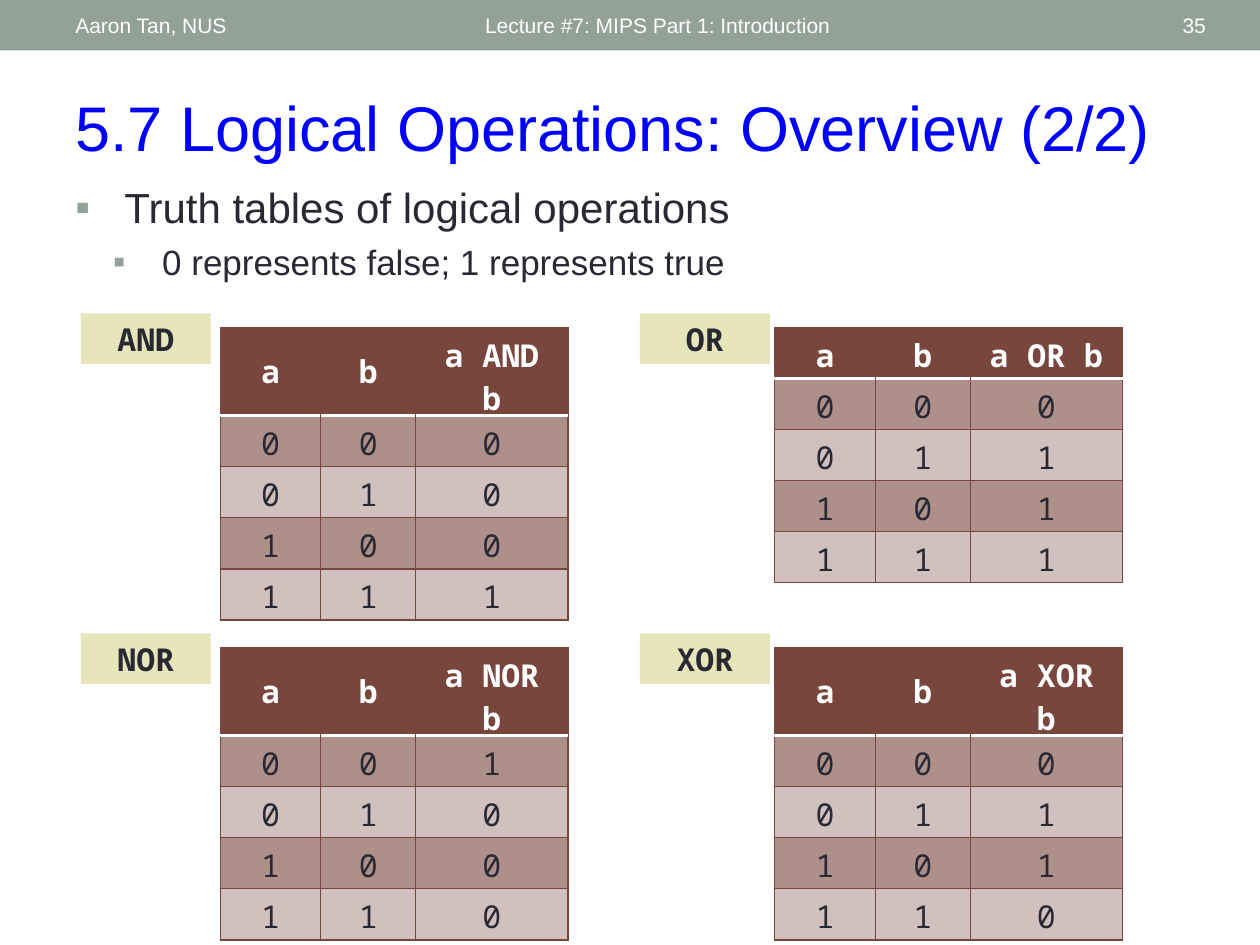
from lxml import etree
from pptx import Presentation
from pptx import util as u
from pptx.dml.color import RGBColor
from pptx.enum import shapes, text
from pptx.oxml import ns

THEME = {
    "sans": "Arial", "mono": "Noto Sans Mono",
    "band": "93A299", "white": "FFFFFF", "title": "0000FF", "ink": "292934",
    "label": "E7E5BA", "header": "79463D", "odd": "AE908B", "even": "D0C0BE",
    "banner_size": 12, "title_size": 36, "mono_size": 18,
    "thin": 0.75, "thick": 2.08,
}

BANNER = [
    ("Aaron Tan, NUS", 1.27, 8.05, text.PP_ALIGN.LEFT),
    ("Lecture #7: MIPS Part 1: Introduction", 9.53, 11.43, text.PP_ALIGN.LEFT),
    ("35", 22.15, 2.41, text.PP_ALIGN.RIGHT),
]
TITLE = "5.7 Logical Operations: Overview (2/2)"
POINTS = [
    ("Truth tables of logical operations", 24, 0.99),
    ("0 represents false; 1 represents true", 20, 1.75),
]
HANGING = 0.99

INPUTS = ["00", "01", "10", "11"]
OPERATIONS = [("AND", "0001"), ("OR", "0111"), ("NOR", "1000"), ("XOR", "0110")]
LABEL_LEFTS, TABLE_LEFTS = (1.63, 12.9), (4.44, 15.62)
LABEL_TOP, TABLE_TOP, BLOCK_PITCH = 6.32, 6.6, 6.45
LABEL_SIZE = (2.62, 1.02)
COLUMN_WIDTHS = (2.03, 1.91, 3.07)
ROW_HEIGHT = 1.03


def colour(name):
    return RGBColor.from_string(THEME[name])


def style(paragraph, size, ink, face="sans", bold=False, align=text.PP_ALIGN.LEFT):
    paragraph.alignment = align
    font = paragraph.font
    font.name, font.size, font.bold = THEME[face], u.Pt(size), bold
    font.color.rgb = colour(ink)


def add_box(slide, left, top, width, height, anchor):
    box = slide.shapes.add_textbox(*map(u.Cm, (left, top, width, height)))
    frame = box.text_frame
    frame.word_wrap = True
    frame.vertical_anchor = anchor
    return frame


def add_block(slide, left, top, width, height, fill):
    block = slide.shapes.add_shape(
        shapes.MSO_SHAPE.RECTANGLE, *map(u.Cm, (left, top, width, height)))
    block.shadow.inherit = False
    block.fill.solid()
    block.fill.fore_color.rgb = colour(fill)
    block.line.fill.background()
    return block


def add_bullet(paragraph, indent):
    properties = paragraph._p.get_or_add_pPr()
    properties.set("marL", str(u.Cm(indent)))
    properties.set("indent", str(-u.Cm(HANGING)))
    tint = etree.SubElement(properties, ns.qn("a:buClr"))
    etree.SubElement(tint, ns.qn("a:srgbClr"), val=THEME["band"])
    etree.SubElement(properties, ns.qn("a:buFont"), typeface=THEME["sans"])
    etree.SubElement(properties, ns.qn("a:buChar"), char="▪")


def add_borders(cell, edges):
    properties = cell._tc.get_or_add_tcPr()
    for place, (side, (ink, width)) in enumerate(edges.items()):
        line = etree.Element(ns.qn(f"a:ln{side}"), w=str(u.Pt(width)))
        if ink:
            fill = etree.SubElement(line, ns.qn("a:solidFill"))
            etree.SubElement(fill, ns.qn("a:srgbClr"), val=THEME[ink])
        else:
            etree.SubElement(line, ns.qn("a:noFill"))
        properties.insert(place, line)


def cell_edges(row, column):
    thin, thick = ("header", THEME["thin"]), ("white", THEME["thick"])
    edges = {"L": thin, "R": thin, "T": thin, "B": thin}
    if row == 0:
        edges["B"] = thick
        if column > 0:
            edges["L"] = (None, 0)
        if column < len(COLUMN_WIDTHS) - 1:
            edges["R"] = (None, 0)
    elif row == 1:
        edges["T"] = thick
    return edges


def add_truth_table(slide, operation, outputs, left, top):
    rows = [["a", "b", f"a {operation} b"]]
    rows += [[*pair, output] for pair, output in zip(INPUTS, outputs)]
    table = slide.shapes.add_table(
        len(rows), len(COLUMN_WIDTHS), u.Cm(left), u.Cm(top),
        u.Cm(sum(COLUMN_WIDTHS)), u.Cm(ROW_HEIGHT * len(rows))).table
    for column, width in zip(table.columns, COLUMN_WIDTHS):
        column.width = u.Cm(width)
    for r, values in enumerate(rows):
        table.rows[r].height = u.Cm(ROW_HEIGHT)
        fill = "header" if r == 0 else "odd" if r % 2 else "even"
        for c, value in enumerate(values):
            cell = table.cell(r, c)
            cell.text = value
            cell.vertical_anchor = text.MSO_ANCHOR.MIDDLE
            cell.fill.solid()
            cell.fill.fore_color.rgb = colour(fill)
            style(cell.text_frame.paragraphs[0], THEME["mono_size"],
                  "ink" if r else "white", "mono", r == 0, text.PP_ALIGN.CENTER)
            add_borders(cell, cell_edges(r, c))


def add_label(slide, operation, left, top):
    label = add_block(slide, left, top, *LABEL_SIZE, "label")
    label.text_frame.text = operation
    label.text_frame.vertical_anchor = text.MSO_ANCHOR.TOP
    style(label.text_frame.paragraphs[0], THEME["mono_size"], "ink", "mono",
          True, text.PP_ALIGN.CENTER)


def main():
    deck = Presentation()
    deck.slide_width, deck.slide_height = u.Cm(25.4), u.Cm(19.05)
    slide = deck.slides.add_slide(deck.slide_layouts[6])

    add_block(slide, 0, 0, 25.4, 1.02, "band")
    for words, left, width, align in BANNER:
        frame = add_box(slide, left, 0.05, width, 0.91, text.MSO_ANCHOR.MIDDLE)
        frame.text = words
        style(frame.paragraphs[0], THEME["banner_size"], "white", align=align)

    title = add_box(slide, 1.27, 1.63, 23.29, 1.8, text.MSO_ANCHOR.BOTTOM)
    title.text = TITLE
    style(title.paragraphs[0], THEME["title_size"], "title")

    points = add_box(slide, 1.27, 3.43, 22.86, 2.77, text.MSO_ANCHOR.TOP)
    points.margin_top = u.Cm(0.23)
    for level, (words, size, indent) in enumerate(POINTS):
        point = points.add_paragraph() if level else points.paragraphs[0]
        point.text = words
        point.level = level
        if level:
            point.space_before = u.Pt(4.8)
        add_bullet(point, indent)
        style(point, size, "ink")

    for index, (operation, outputs) in enumerate(OPERATIONS):
        row, column = divmod(index, 2)
        drop = row * BLOCK_PITCH
        add_truth_table(slide, operation, outputs, TABLE_LEFTS[column], TABLE_TOP + drop)
        add_label(slide, operation, LABEL_LEFTS[column], LABEL_TOP + drop)

    deck.save("out.pptx")


if __name__ == "__main__":
    main()
